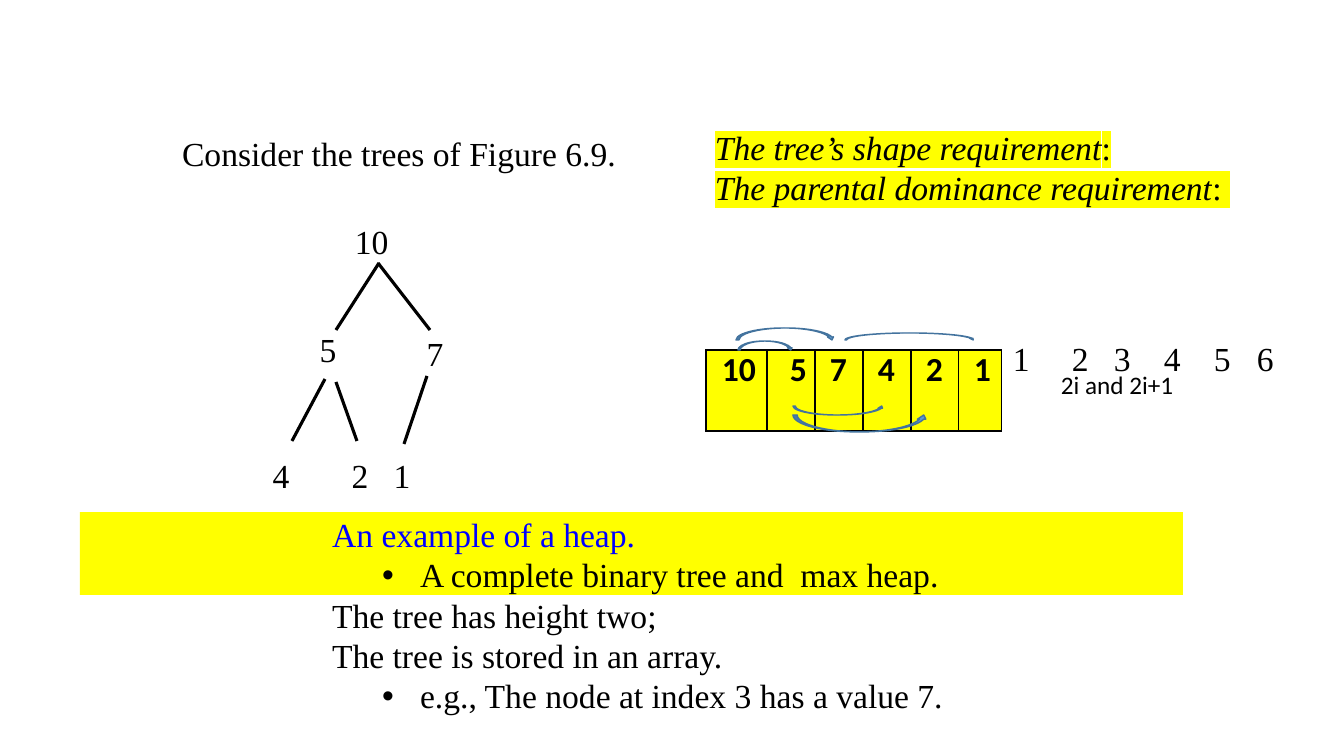
from lxml import etree
from pptx import Presentation
from pptx.dml.color import RGBColor
from pptx.enum.shapes import MSO_CONNECTOR, MSO_SHAPE
from pptx.enum.text import MSO_ANCHOR, MSO_AUTO_SIZE, PP_ALIGN
from pptx.oxml import parse_xml
from pptx.oxml.ns import nsdecls, qn
from pptx.util import Emu, Pt

BLACK = RGBColor(0, 0, 0)
BLUE = RGBColor(0, 0, 255)
YELLOW = RGBColor(255, 255, 0)
ARROW_FILL = RGBColor(0x5B, 0x9B, 0xD5)
ARROW_LINE = RGBColor(0x43, 0x73, 0x9E)
SERIF = "Times New Roman"
SANS = "Calibri"
UP_ARROW = MSO_SHAPE.CURVED_UP_ARROW
DOWN_ARROW = MSO_SHAPE.CURVED_DOWN_ARROW
LEFT = PP_ALIGN.LEFT
CENTER = PP_ALIGN.CENTER


def px(*lengths):
    return [Emu(round(length * 914400 / 100.8)) for length in lengths]


def add_text(para, text, size=24, name=SERIF, color=BLACK):
    span = para.add_run()
    span.text = text
    span.font.size = Pt(size)
    span.font.color.rgb = color
    span.font.name = name
    return span


deck = Presentation()
deck.slide_width, deck.slide_height = px(1344, 756)
page = deck.slides.add_slide(deck.slide_layouts[1])

title = page.shapes.title
title.left, title.top, title.width, title.height = px(172, 128, 459, 50)
title.text_frame.auto_size = MSO_AUTO_SIZE.NONE
title.text_frame.vertical_anchor = MSO_ANCHOR.TOP
title.text_frame.word_wrap = False
title.text_frame.paragraphs[0].alignment = LEFT
add_text(title.text_frame.paragraphs[0], "Consider the trees of Figure 6.9.")

facts = page.placeholders[1]
facts.left, facts.top, facts.width, facts.height = px(322, 509, 672, 214)
facts.text_frame.auto_size = MSO_AUTO_SIZE.NONE
for number, (level, text, color) in enumerate([
    (0, "An example of a heap.", BLUE),
    (1, "A complete binary tree and  max heap.", BLACK),
    (0, "The tree has height two;", BLACK),
    (0, "The tree is stored in an array.", BLACK),
    (1, "e.g., The node at index 3 has a value 7.", BLACK),
]):
    para = facts.text_frame.paragraphs[0] if number == 0 else facts.text_frame.add_paragraph()
    para.level = level
    para.space_before = Pt(0)
    add_text(para, text, color=color)
    properties = para._p.get_or_add_pPr()
    margin, indent = px(88 * level, -38 * level)
    properties.set("marL", str(margin))
    properties.set("indent", str(indent))
    if level:
        etree.SubElement(properties, qn("a:buFont")).set("typeface", "Arial")
        etree.SubElement(properties, qn("a:buChar")).set("char", "•")
    else:
        etree.SubElement(properties, qn("a:buNone"))

band = page.shapes.add_shape(MSO_SHAPE.RECTANGLE, *px(80, 512, 1103, 83))
band.shadow.inherit = False
band.fill.solid()
band.fill.fore_color.rgb = YELLOW
band.line.fill.background()
page.shapes._spTree.insert(2, band._element)

values = ["10", "5", "7", "4", "2", "1"]
column_widths = [61, 48, 48, 48, 48, 43]
left_margins = [16, 23, 15, 15, 15, 15]
array = page.shapes.add_table(1, len(values), *px(706, 350, sum(column_widths), 81)).table
for column, value in enumerate(values):
    array.columns[column].width = px(column_widths[column])[0]
    cell = array.cell(0, column)
    cell.margin_left = px(left_margins[column])[0]
    cell.margin_right = cell.margin_top = cell.margin_bottom = 0
    add_text(cell.text_frame.paragraphs[0], value, name=SANS).font.bold = True
    properties = cell._tc.get_or_add_tcPr()
    for side in ("lnL", "lnR", "lnT", "lnB"):
        properties.append(parse_xml(
            f'<a:{side} {nsdecls("a")} w="12700"><a:solidFill>'
            f'<a:srgbClr val="{BLACK}"/></a:solidFill></a:{side}>'))
    cell.fill.solid()
    cell.fill.fore_color.rgb = YELLOW

for edge in [
    (379, 263, 336, 330),
    (378, 263, 430, 330),
    (325, 379, 292, 441),
    (336, 382, 357, 441),
    (427, 376, 404, 444),
]:
    branch = page.shapes.add_connector(MSO_CONNECTOR.STRAIGHT, *px(*edge))
    branch.line.color.rgb = BLACK
    branch.line.width = Pt(2.25)
    etree.SubElement(branch._element.spPr, qn("a:effectLst"))

for text, left, top, width, height, align, size, name in [
    ("10", 345, 216, 70, 50, LEFT, 24, SERIF),
    ("5", 300, 324, 56, 50, CENTER, 24, SERIF),
    ("7", 407, 328, 56, 50, CENTER, 24, SERIF),
    ("4", 253, 450, 56, 50, CENTER, 24, SERIF),
    ("2", 332, 450, 56, 50, CENTER, 24, SERIF),
    ("1", 374, 450, 56, 50, CENTER, 24, SERIF),
    ("2i and 2i+1", 1051, 364, 146, 40, LEFT, 18, SANS),
]:
    box = page.shapes.add_textbox(*px(left, top, width, height))
    box.text_frame.word_wrap = True
    para = box.text_frame.paragraphs[0]
    para.alignment = align
    add_text(para, text, size, name)

indices = page.shapes.add_textbox(*px(1003, 333, 286, 50))
indices.text_frame.word_wrap = True
para = indices.text_frame.paragraphs[0]
add_text(para, "1\t2\t3\t4\t5\t6")
tab_list = etree.SubElement(para._p.get_or_add_pPr(), qn("a:tabLst"))
for position in px(59, 101, 151, 201, 244):
    etree.SubElement(tab_list, qn("a:tab"), pos=str(position), algn="l")

for kind, *place in [
    (UP_ARROW, 793, 406, 91, 9),
    (UP_ARROW, 793, 415, 135, 17),
    (DOWN_ARROW, 738, 341, 55, 9),
    (DOWN_ARROW, 736, 328, 99, 12),
    (DOWN_ARROW, 845, 333, 130, 7),
]:
    arrow = page.shapes.add_shape(kind, *px(*place))
    arrow.shadow.inherit = False
    arrow.fill.solid()
    arrow.fill.fore_color.rgb = ARROW_FILL
    arrow.line.color.rgb = ARROW_LINE
    arrow.line.width = Pt(1)

requirements = page.shapes.add_textbox(*px(705, 122, 540, 92))
requirements.text_frame.word_wrap = False
for number, (text, ending) in enumerate([
    ("The tree’s shape requirement", ":"),
    ("The parental dominance requirement", ": "),
]):
    frame = requirements.text_frame
    para = frame.paragraphs[0] if number == 0 else frame.add_paragraph()
    for part, italic in [(text, True), (ending, False)]:
        span = add_text(para, part)
        span.font.italic = italic
        highlight = parse_xml(
            f'<a:highlight {nsdecls("a")}><a:srgbClr val="{YELLOW}"/></a:highlight>')
        span._r.rPr.find(qn("a:solidFill")).addnext(highlight)

deck.save("out.pptx")
